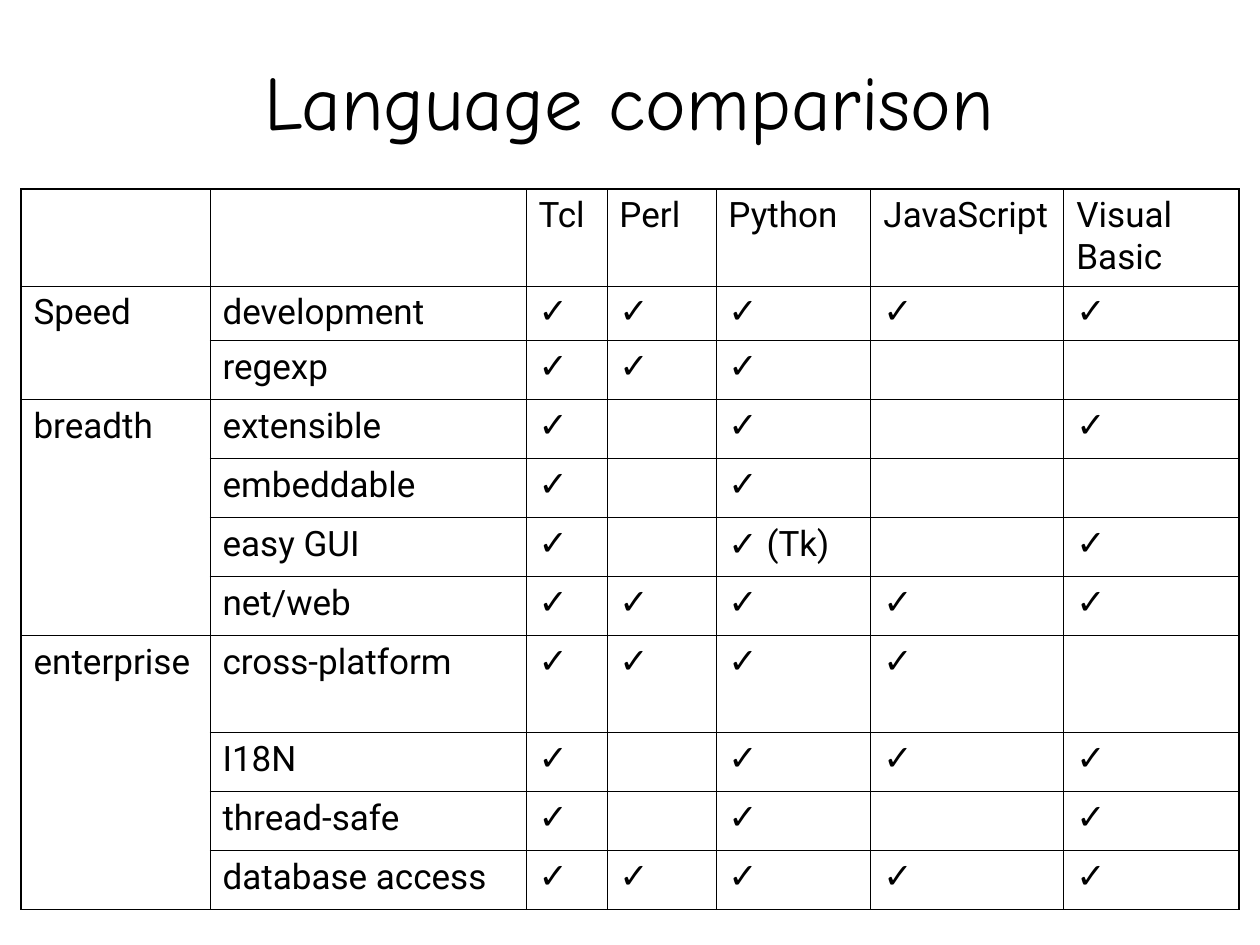
from itertools import groupby

from lxml.etree import SubElement
from pptx import Presentation
from pptx.dml.color import RGBColor
from pptx.enum.text import MSO_ANCHOR, PP_ALIGN
from pptx.oxml.ns import qn
from pptx.util import Pt

SCALE = 914400 // 126
BLACK = RGBColor(0, 0, 0)
THIN, THICK = Pt(0.45), Pt(1.08)
CHECK = "✓"
COLUMN_WIDTHS = [189, 316, 81, 109, 155, 193, 175]
TALL_ROW, FIRST_ROW, ROW = 97, 54, 59
ROW_HEIGHTS = [TALL_ROW, FIRST_ROW] + [ROW] * 5 + [TALL_ROW] + [ROW] * 3
ROWS = [
    ["", "", "Tcl", "Perl", "Python", "JavaScript", "Visual Basic"],
    ["Speed", "development", CHECK, CHECK, CHECK, CHECK, CHECK],
    ["", "regexp", CHECK, CHECK, CHECK, "", ""],
    ["breadth", "extensible", CHECK, "", CHECK, "", CHECK],
    ["", "embeddable", CHECK, "", CHECK, "", ""],
    ["", "easy GUI", CHECK, "", CHECK + " (Tk)", "", CHECK],
    ["", "net/web", CHECK, CHECK, CHECK, CHECK, CHECK],
    ["enterprise", "cross-platform", CHECK, CHECK, CHECK, CHECK, ""],
    ["", "I18N", CHECK, "", CHECK, CHECK, CHECK],
    ["", "thread-safe", CHECK, "", CHECK, "", CHECK],
    ["", "database access", CHECK, CHECK, CHECK, CHECK, CHECK],
]


def px(length):
    """Turn whole pixels into EMU."""
    return length * SCALE


def write_text(frame, text, size=20, font="Roboto", align=PP_ALIGN.LEFT, before=5):
    """Write one paragraph, giving check marks their own font."""
    paragraph = frame.paragraphs[0]
    paragraph.alignment = align
    paragraph.space_before = Pt(before)
    paragraph.font.size = Pt(size)
    for is_check, characters in groupby(text, lambda character: character == CHECK):
        run = paragraph.add_run()
        run.text = "".join(characters)
        run.font.name = "Arial" if is_check else font
        run.font.size = Pt(size)
        run.font.color.rgb = BLACK


def add_title(slide, text):
    """Add the centred slide title."""
    shape = slide.shapes.add_textbox(px(94), px(21), px(1071), px(158))
    shape.text_frame.word_wrap = True
    shape.text_frame.vertical_anchor = MSO_ANCHOR.MIDDLE
    write_text(shape.text_frame, text, size=44, font="Comic Neue",
               align=PP_ALIGN.CENTER, before=0)


def set_border(cell, side, width):
    """Draw one cell side, or hide it when the width is zero."""
    line = SubElement(cell._tc.get_or_add_tcPr(), qn(f"a:ln{side}"), w=str(int(width)))
    if width:
        fill = SubElement(line, qn("a:solidFill"))
        SubElement(fill, qn("a:srgbClr"), val=str(BLACK))
    else:
        SubElement(line, qn("a:noFill"))


def edge_width(index, count):
    """Return the width of a grid line, thick at the outer edges."""
    return THICK if index in (0, count) else THIN


def row_edge_width(edge, column):
    """Return the width of a horizontal line, hidden inside a category."""
    inside_category = column == 0 and 0 < edge < len(ROWS) and not ROWS[edge][0]
    return 0 if inside_category else edge_width(edge, len(ROWS))


def add_comparison_table(slide):
    """Add the feature table with its borders."""
    column_count = len(COLUMN_WIDTHS)
    table = slide.shapes.add_table(
        len(ROWS), column_count, px(21), px(189),
        px(sum(COLUMN_WIDTHS)), px(sum(ROW_HEIGHTS))).table
    table.first_row = table.horz_banding = False
    for column, width in zip(table.columns, COLUMN_WIDTHS):
        column.width = px(width)
    for row, height in zip(table.rows, ROW_HEIGHTS):
        row.height = px(height)
    for row_index, texts in enumerate(ROWS):
        for column_index, text in enumerate(texts):
            cell = table.cell(row_index, column_index)
            write_text(cell.text_frame, text)
            set_border(cell, "L", edge_width(column_index, column_count))
            set_border(cell, "R", edge_width(column_index + 1, column_count))
            set_border(cell, "T", row_edge_width(row_index, column_index))
            set_border(cell, "B", row_edge_width(row_index + 1, column_index))
            cell.fill.background()


def main():
    """Build and save the slide."""
    presentation = Presentation()
    presentation.slide_width, presentation.slide_height = px(1260), px(945)
    slide = presentation.slides.add_slide(presentation.slide_layouts[6])
    add_title(slide, "Language comparison")
    add_comparison_table(slide)
    presentation.save("out.pptx")


if __name__ == "__main__":
    main()
